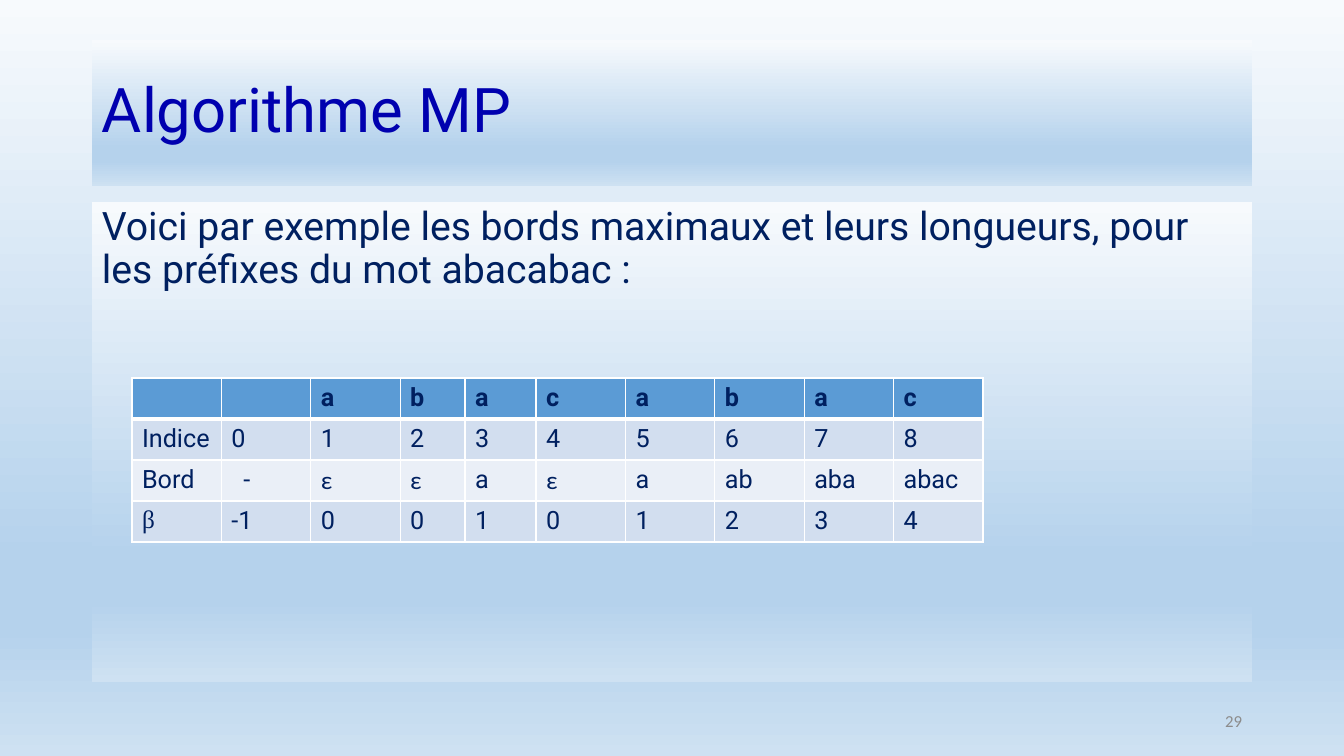
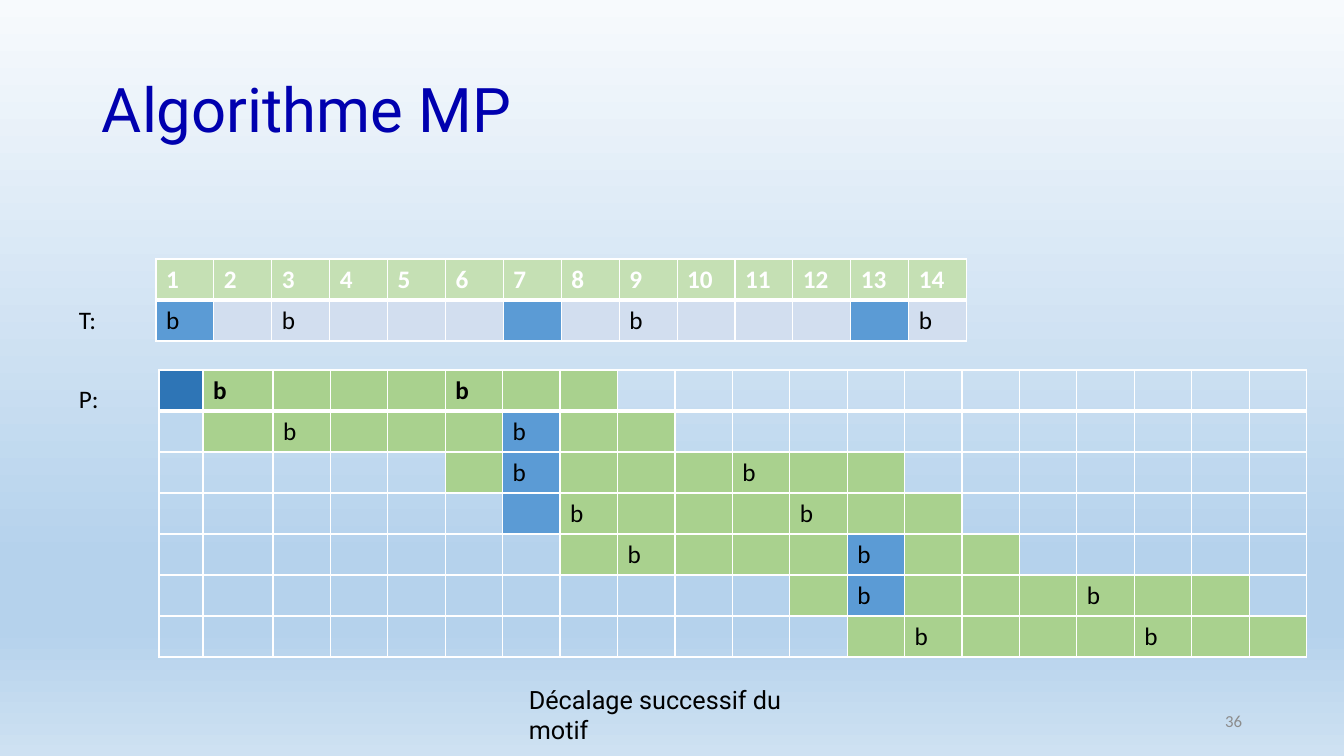
from dataclasses import dataclass

from lxml.etree import SubElement
from pptx import Presentation
from pptx.dml.color import RGBColor
from pptx.enum.text import MSO_ANCHOR, PP_ALIGN
from pptx.oxml.ns import qn
from pptx.util import Emu, Pt

# Content
TITLE = "Algorithme MP"
INTRO = "Voici par exemple les bords maximaux et leurs longueurs, pour les préfixes du mot abacabac :"
BORDERS = [
    ["", "", *"abacabac"],
    ["Indice", *"012345678"],
    ["Bord", "-", "ε", "ε", "a", "ε", "a", "ab", "aba", "abac"],
    ["β", "-1", *"00101234"],
]
CAPTION = "Décalage successif du motif"
TEXT_LENGTH = 14
TEXT_B = {1, 3, 9, 14}            # positions of b in the text
TEXT_MISMATCHES = {1, 7, 13}
MOTIF_LENGTH = 8
MOTIF_B = {1, 5}                  # offsets of b in the pattern
SHIFTS = [0, 1, 5, 6, 7, 11, 12]  # pattern start, one per row
SHIFT_COLUMNS = SHIFTS[-1] + MOTIF_LENGTH
MISMATCHES = {1: 6, 2: 6, 3: 6, 4: 12, 5: 12}  # row: column


@dataclass(frozen=True)
class Theme:
    stops: tuple = ((0, "F7FAFD"), (74, "B5D2EC"), (83, "B5D2EC"), (100, "CEE1F2"))
    title: str = "0000AF"
    navy: str = "002060"
    black: str = "000000"
    white: str = "FFFFFF"
    gray: str = "8C8C8C"
    blue: str = "5B9BD5"
    dark_blue: str = "2E75B6"
    light_blue: str = "BDD7EE"
    band: str = "D2DEEF"
    light_band: str = "EAEFF7"
    green: str = "A9D18E"
    light_green: str = "C5E0B4"
    main_font: str = "Roboto"
    label_font: str = "Calibri"
    greek_font: str = "Times New Roman"
    title_size: int = 44
    body_size: int = 28
    label_size: int = 18
    number_size: int = 12


THEME = Theme()
NO_GRID_STYLE = "{2D5ABB26-0587-4C30-8999-92F81FD0307C}"
SLIDE_SIZE = (1344, 756)
ROW_HEIGHT = 41
TITLE_BOX = (92, 40, 1160, 146)
BODY_BOX = (92, 202, 1160, 480)
NUMBER_BOX = (950, 701, 302, 40)


def px(length):
    return Emu(round(length * 12192000 / SLIDE_SIZE[0]))


# Text and fills
def add_run(paragraph, text, size, font, color, bold=False):
    run = paragraph.add_run()
    run.text = text
    run.font.size = Pt(size)
    run.font.name = font
    run.font.bold = bold
    run.font.color.rgb = RGBColor.from_string(color)


def add_text(slide, box, text, size, font, color, anchor=MSO_ANCHOR.TOP):
    area = slide.shapes.add_textbox(*map(px, box))
    area.text_frame.word_wrap = True
    area.text_frame.vertical_anchor = anchor
    add_run(area.text_frame.paragraphs[0], text, size, font, color)
    return area


def set_gradient(fill, element):
    fill.gradient()
    fill.gradient_angle = 270
    stop_list = next(element.iter(qn("a:gsLst")))
    for stop in list(stop_list):
        stop_list.remove(stop)
    for position, color in THEME.stops:
        stop = SubElement(stop_list, qn("a:gs"), pos=str(position * 1000))
        SubElement(stop, qn("a:srgbClr"), val=color)


def add_base(deck, number):
    slide = deck.slides.add_slide(deck.slide_layouts[6])
    set_gradient(slide.background.fill, slide.element)
    title = add_text(slide, TITLE_BOX, TITLE, THEME.title_size, THEME.main_font,
                     THEME.title, MSO_ANCHOR.MIDDLE)
    title.text_frame.paragraphs[0].line_spacing = 0.9
    page = add_text(slide, NUMBER_BOX, number, THEME.number_size, THEME.label_font,
                    THEME.gray, MSO_ANCHOR.MIDDLE)
    page.text_frame.paragraphs[0].alignment = PP_ALIGN.RIGHT
    return slide, title


# Tables
def set_borders(cell, row):
    properties = cell._tc.get_or_add_tcPr()
    widths = {"L": 1, "R": 1, "T": 3 if row == 1 else 1, "B": 3 if row == 0 else 1}
    for side, width in widths.items():
        line = SubElement(properties, qn(f"a:ln{side}"), w=str(Pt(width)))
        solid = SubElement(line, qn("a:solidFill"))
        SubElement(solid, qn("a:srgbClr"), val=THEME.white)


def add_grid(slide, left, top, width, rows, columns, describe, own_widths=None):
    """describe(row, column) gives text, fill, font, colour and bold."""
    own_widths = own_widths or {}
    shared = (width - sum(own_widths.values())) / (columns - len(own_widths))
    box = (left, top, width, rows * ROW_HEIGHT)
    grid = slide.shapes.add_table(rows, columns, *map(px, box)).table
    grid.first_row = grid.horz_banding = False
    next(grid._tbl.iter(qn("a:tableStyleId"))).text = NO_GRID_STYLE
    for column in range(columns):
        grid.columns[column].width = px(own_widths.get(column, shared))
    for row in range(rows):
        grid.rows[row].height = px(ROW_HEIGHT)
        for column in range(columns):
            cell = grid.cell(row, column)
            text, fill, font, color, bold = describe(row, column)
            set_borders(cell, row)
            if fill:
                cell.fill.solid()
                cell.fill.fore_color.rgb = RGBColor.from_string(fill)
            else:
                cell.fill.background()
            if text:
                add_run(cell.text_frame.paragraphs[0], text, THEME.label_size,
                        font, color, bold)
    return grid


def border_cell(row, column):
    text = BORDERS[row][column]
    fill = (THEME.blue, THEME.band, THEME.light_band, THEME.band)[row]
    fonts = {"ε": THEME.label_font, "β": THEME.greek_font}
    return text, fill, fonts.get(text, THEME.main_font), THEME.navy, row == 0


def text_cell(row, column):
    position = column + 1
    if row == 0:
        return str(position), THEME.light_green, THEME.label_font, THEME.white, True
    fill = THEME.blue if position in TEXT_MISMATCHES else THEME.band
    letter = "b" if position in TEXT_B else ""
    return letter, fill, THEME.label_font, THEME.black, False


def shift_cell(row, column):
    offset = column - SHIFTS[row]
    special = {(0, 0): THEME.dark_blue, (1, 0): THEME.light_blue}
    special.update({mismatch: THEME.blue for mismatch in MISMATCHES.items()})
    motif_fill = THEME.green if 0 <= offset < MOTIF_LENGTH else None
    fill = special.get((row, column), motif_fill)
    letter = "b" if offset in MOTIF_B else ""
    return letter, fill, THEME.label_font, THEME.black, row == 0


# Slides
def build_borders(deck):
    slide, title = add_base(deck, "29")
    set_gradient(title.fill, title.element)
    intro = add_text(slide, BODY_BOX, INTRO, THEME.body_size, THEME.main_font, THEME.navy)
    set_gradient(intro.fill, intro.element)
    paragraph = intro.text_frame.paragraphs[0]
    paragraph.line_spacing = 0.9
    paragraph.space_before = Pt(10)
    grid = add_grid(slide, 132, 378, 851, len(BORDERS), len(BORDERS[0]),
                    border_cell, {3: 65, 4: 71})
    grid.cell(2, 1).margin_left = px(22)


def build_shifts(deck):
    slide, _ = add_base(deck, "36")
    add_grid(slide, 156, 259, 811, 2, TEXT_LENGTH, text_cell)
    add_grid(slide, 159, 370, 1148, len(SHIFTS), SHIFT_COLUMNS, shift_cell, {0: 44, 1: 70})
    add_text(slide, (519, 679, 305, 40), CAPTION, THEME.label_size,
             THEME.main_font, THEME.black)
    for label, top, width in (("T:", 299, 40), ("P:", 378, 47)):
        add_text(slide, (69, top, width, 40), label, THEME.label_size,
                 THEME.label_font, THEME.black)


def main():
    deck = Presentation()
    deck.slide_width, deck.slide_height = map(px, SLIDE_SIZE)
    build_borders(deck)
    build_shifts(deck)
    deck.save("out.pptx")


if __name__ == "__main__":
    main()
